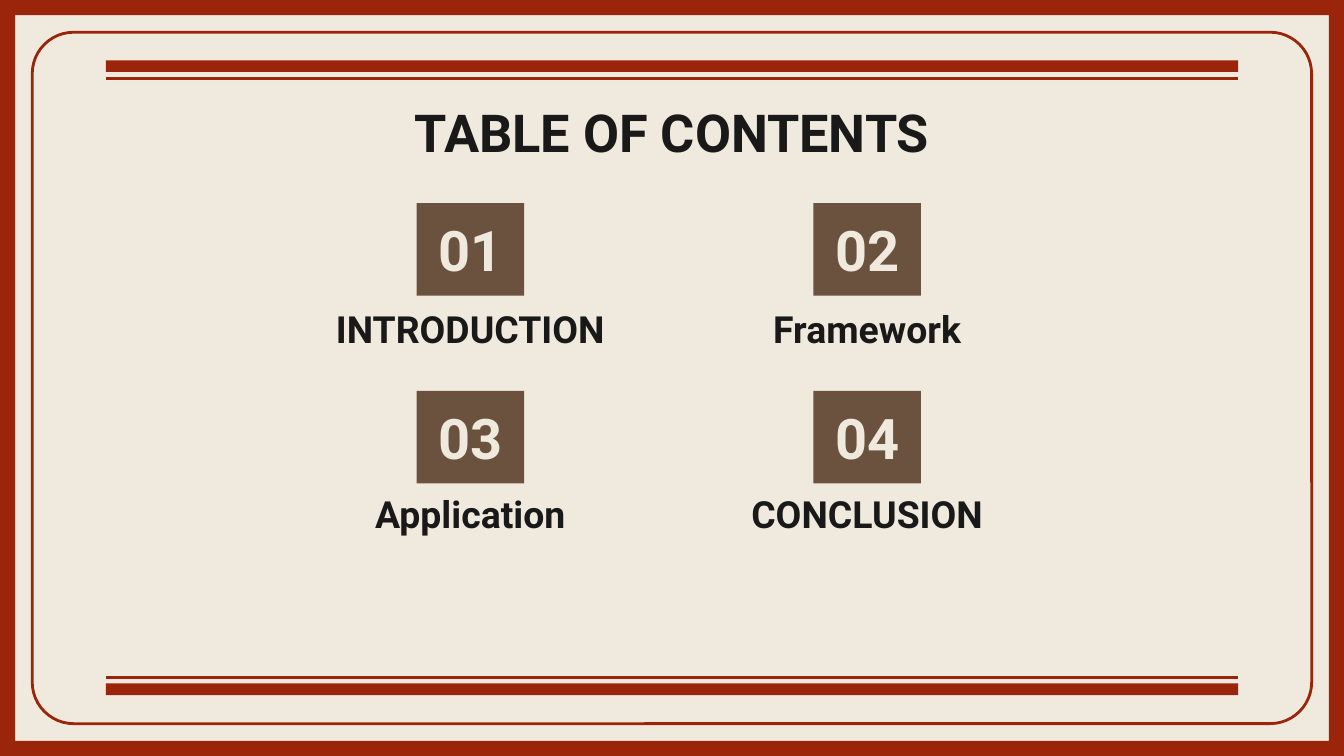
"""Build a framed table of contents slide with four numbered sections."""

from dataclasses import dataclass

import pptx
import pptx.dml.color
import pptx.enum.shapes
import pptx.enum.text
import pptx.oxml
import pptx.oxml.ns
import pptx.shapes.autoshape
import pptx.slide
import pptx.util

Cm = pptx.util.Cm
RGBColor = pptx.dml.color.RGBColor
ShapeType = pptx.enum.shapes.MSO_SHAPE
Anchor = pptx.enum.text.MSO_ANCHOR

CREAM = RGBColor(0xF0, 0xEA, 0xDE)
RED = RGBColor(0x9B, 0x25, 0x0B)
BROWN = RGBColor(0x6B, 0x52, 0x3F)
INK = RGBColor(0x19, 0x19, 0x19)

FONT = "Roboto"
SLIDE_WIDTH, SLIDE_HEIGHT = 25.4, 14.29
RULE_LEFT, RULE_WIDTH = 2.0, 21.4
BAR_HEIGHT = 0.22
TILE_WIDTH, TILE_HEIGHT = 2.03, 1.75
LABEL_WIDTH, LABEL_HEIGHT = 6.4, 1.85
COLUMN_CENTERS = (8.89, 16.39)


@dataclass(frozen=True)
class Box:
    left: float
    top: float
    width: float
    height: float

    def lengths(self) -> tuple[pptx.util.Length, ...]:
        return Cm(self.left), Cm(self.top), Cm(self.width), Cm(self.height)


@dataclass(frozen=True)
class Row:
    tile_top: float
    label_top: float


@dataclass(frozen=True)
class RulePair:
    bar_top: float
    line_y: float


ROWS = (Row(3.84, 5.54), Row(7.39, 9.04))
RULE_PAIRS = (RulePair(1.14, 1.49), RulePair(12.92, 12.8))
SECTIONS = ("INTRODUCTION", "Framework", "Application", "CONCLUSION")


def add_filled_shape(
    slide: pptx.slide.Slide, shape_type: ShapeType, box: Box, color: RGBColor
) -> pptx.shapes.autoshape.Shape:
    shape = slide.shapes.add_shape(shape_type, *box.lengths())
    shape.shadow.inherit = False
    shape.fill.solid()
    shape.fill.fore_color.rgb = color
    shape.line.fill.background()
    return shape


def write_text(
    shape: pptx.shapes.autoshape.Shape, text: str, size: int, color: RGBColor, anchor: Anchor
) -> None:
    frame = shape.text_frame
    frame.word_wrap = True
    frame.vertical_anchor = anchor
    frame.margin_left = frame.margin_right = Cm(0.25)
    frame.margin_top = frame.margin_bottom = Cm(0.25)
    paragraph = frame.paragraphs[0]
    paragraph.alignment = pptx.enum.text.PP_ALIGN.CENTER
    run = paragraph.add_run()
    run.text = text
    run.font.name = FONT
    run.font.size = pptx.util.Pt(size)
    run.font.bold = True
    run.font.color.rgb = color


def add_label(slide: pptx.slide.Slide, box: Box, text: str, size: int) -> None:
    write_text(slide.shapes.add_textbox(*box.lengths()), text, size, INK, Anchor.TOP)


def add_border(slide: pptx.slide.Slide) -> None:
    outline = slide.shapes.add_shape(
        ShapeType.ROUNDED_RECTANGLE, *Box(0.61, 0.61, 24.18, 13.07).lengths()
    )
    outline.adjustments[0] = 0.06
    outline.shadow.inherit = False
    outline.fill.background()
    outline.line.color.rgb = RED
    outline.line.width = pptx.util.Pt(1.5)
    frame = add_filled_shape(
        slide, ShapeType.FRAME, Box(0, 0, SLIDE_WIDTH, SLIDE_HEIGHT), RED
    )
    frame.adjustments[0] = 0.02


def add_rule_pair(slide: pptx.slide.Slide, pair: RulePair) -> None:
    line = slide.shapes.add_connector(
        pptx.enum.shapes.MSO_CONNECTOR.STRAIGHT,
        Cm(RULE_LEFT), Cm(pair.line_y), Cm(RULE_LEFT + RULE_WIDTH), Cm(pair.line_y),
    )
    line.line.color.rgb = RED
    line.line.width = pptx.util.Pt(1.5)
    effects = pptx.oxml.parse_xml(f"<a:effectLst {pptx.oxml.ns.nsdecls('a')}/>")
    line._element.spPr.append(effects)
    bar = Box(RULE_LEFT, pair.bar_top, RULE_WIDTH, BAR_HEIGHT)
    add_filled_shape(slide, ShapeType.RECTANGLE, bar, RED)


def add_section(slide: pptx.slide.Slide, index: int, name: str) -> None:
    row = ROWS[index // len(COLUMN_CENTERS)]
    center = COLUMN_CENTERS[index % len(COLUMN_CENTERS)]
    tile_box = Box(center - TILE_WIDTH / 2, row.tile_top, TILE_WIDTH, TILE_HEIGHT)
    tile = add_filled_shape(slide, ShapeType.RECTANGLE, tile_box, BROWN)
    write_text(tile, f"{index + 1:02d}", 30, CREAM, Anchor.BOTTOM)
    label_box = Box(center - LABEL_WIDTH / 2, row.label_top, LABEL_WIDTH, LABEL_HEIGHT)
    add_label(slide, label_box, name, 20)


def main() -> None:
    presentation = pptx.Presentation()
    presentation.slide_width = Cm(SLIDE_WIDTH)
    presentation.slide_height = Cm(SLIDE_HEIGHT)
    slide = presentation.slides.add_slide(presentation.slide_layouts[6])
    slide.background.fill.solid()
    slide.background.fill.fore_color.rgb = CREAM
    add_border(slide)
    for pair in RULE_PAIRS:
        add_rule_pair(slide, pair)
    add_label(slide, Box(RULE_LEFT, 1.65, RULE_WIDTH, 1.6), "TABLE OF CONTENTS", 28)
    for index, name in enumerate(SECTIONS):
        add_section(slide, index, name)
    presentation.save("out.pptx")


if __name__ == "__main__":
    main()
